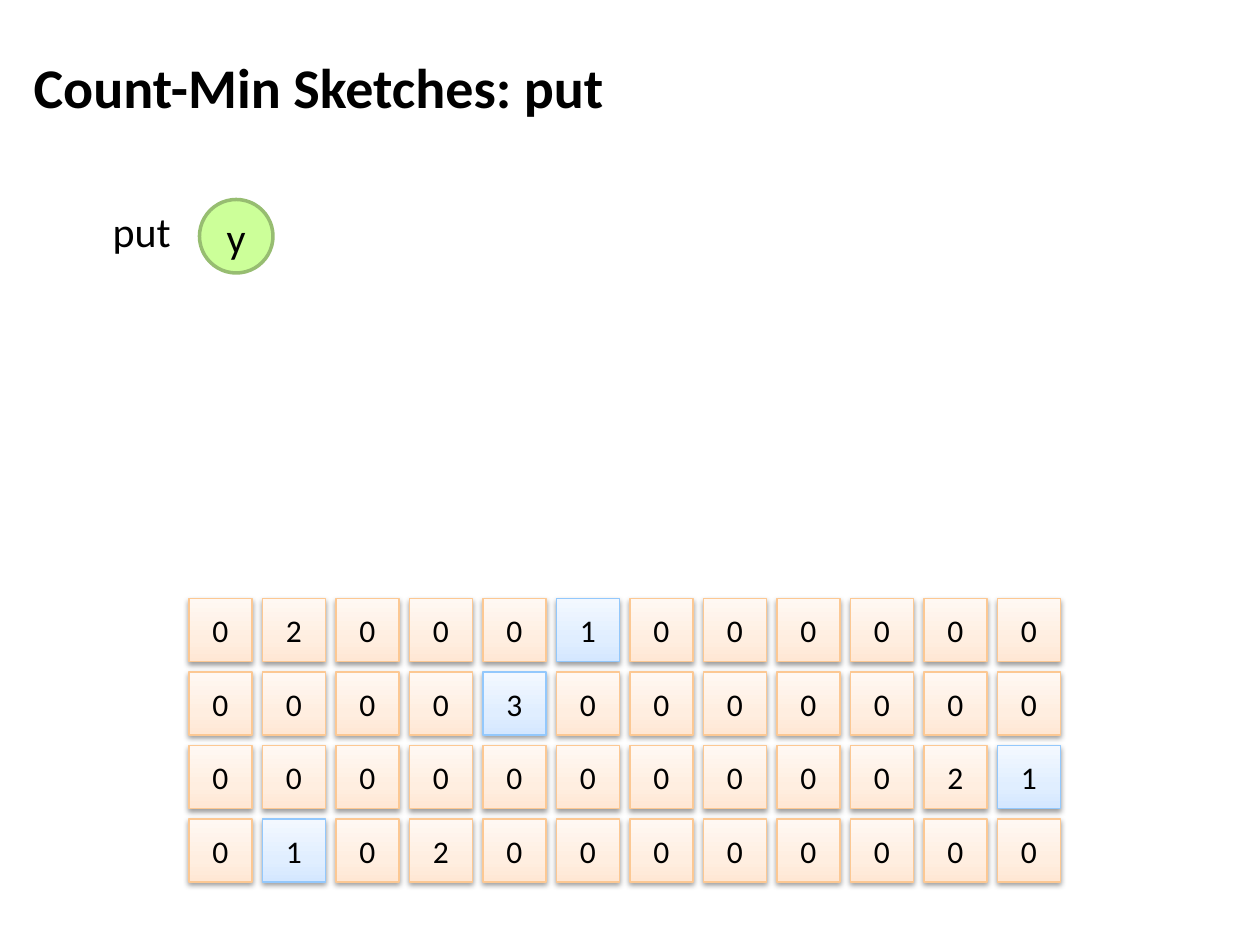
from lxml.etree import SubElement
from pptx import Presentation
from pptx.dml.color import RGBColor
from pptx.enum.shapes import MSO_SHAPE
from pptx.enum.text import MSO_ANCHOR, MSO_AUTO_SIZE, PP_ALIGN
from pptx.oxml.ns import qn
from pptx.util import Pt

COLORS = {"text": "000000", "item": "CCFF99", "item_line": "97BD71"}
# Gradient stops run from the bottom of a cell to its top
CELL_STYLES = {
    "plain": {"stops": ((0, "FFE7D4"), (35, "FFEEE0"), (100, "FFF8F3")), "line": "FCC893"},
    "hit": {"stops": ((0, "D4E7FF"), (35, "E0EEFF"), (100, "F3F8FF")), "line": "93C8FC"},
}
COUNTERS = [
    [0, 2, 0, 0, 0, 1, 0, 0, 0, 0, 0, 0],
    [0, 0, 0, 0, 3, 0, 0, 0, 0, 0, 0, 0],
    [0, 0, 0, 0, 0, 0, 0, 0, 0, 0, 2, 1],
    [0, 1, 0, 2, 0, 0, 0, 0, 0, 0, 0, 0],
]
HIT_COLUMNS = [5, 4, 11, 1]
GRID_LEFT, GRID_TOP, CELL, PITCH = 108, 342, 36, 42


class SlideBuilder:
    font_name = "Calibri"

    def __init__(self, slide):
        self.s = slide

    def set_text(self, shape, text, size, align, anchor=MSO_ANCHOR.MIDDLE, bold=False):
        tf = shape.text_frame
        tf.word_wrap = True
        tf.vertical_anchor = anchor
        p = tf.paragraphs[0]
        p.alignment = align
        r = p.add_run()
        r.text = text
        for name, value in {"name": self.font_name, "size": Pt(size), "bold": bold}.items():
            setattr(r.font, name, value)
        r.font.color.rgb = RGBColor.from_string(COLORS["text"])

    def outline(self, shape, color, width):
        shape.line.color.rgb = RGBColor.from_string(color)
        shape.line.width = Pt(width)
        shape.shadow.inherit = False

    def title(self, text, left, top, width, height):
        sp = self.s.shapes.title
        box = {"left": left, "top": top, "width": width, "height": height}
        for name, value in box.items():
            setattr(sp, name, Pt(value))
        self.set_text(sp, text, 32, PP_ALIGN.LEFT, bold=True)

    def cell(self, group, text, left, top, style):
        sp = group.shapes.add_shape(MSO_SHAPE.RECTANGLE, Pt(left), Pt(top), Pt(CELL), Pt(CELL))
        sp.fill.gradient()
        sp.fill.gradient_angle = 90
        stops = sp._element.spPr.find(".//" + qn("a:gsLst"))
        for stop in list(stops):
            stops.remove(stop)
        for position, color in style["stops"]:
            gs = SubElement(stops, qn("a:gs"), pos=str(position * 1000))
            SubElement(gs, qn("a:srgbClr"), val=color)
        self.outline(sp, style["line"], 0.75)
        self.drop_shadow(sp)
        self.set_text(sp, text, 18, PP_ALIGN.CENTER)

    def drop_shadow(self, sp):
        effects = sp._element.spPr.find(qn("a:effectLst"))
        shadow = SubElement(effects, qn("a:outerShdw"), blurRad="40000", dist="20000",
                            dir="5400000", rotWithShape="0")
        color = SubElement(shadow, qn("a:srgbClr"), val="000000")
        SubElement(color, qn("a:alpha"), val="38000")

    def counter_grid(self, rows, hits):
        group = self.s.shapes.add_group_shape()
        for i, (row, hit) in enumerate(zip(rows, hits)):
            for j, count in enumerate(row):
                style = CELL_STYLES["hit" if j == hit else "plain"]
                self.cell(group, str(count), GRID_LEFT + j * PITCH, GRID_TOP + i * PITCH, style)

    def item(self, text, left, top, size):
        sp = self.s.shapes.add_shape(MSO_SHAPE.OVAL, Pt(left), Pt(top), Pt(size), Pt(size))
        sp.fill.solid()
        sp.fill.fore_color.rgb = RGBColor.from_string(COLORS["item"])
        self.outline(sp, COLORS["item_line"], 2)
        self.set_text(sp, text, 24, PP_ALIGN.CENTER)

    def label(self, text, left, top, width, height):
        sp = self.s.shapes.add_textbox(Pt(left), Pt(top), Pt(width), Pt(height))
        self.set_text(sp, text, 24, PP_ALIGN.CENTER, anchor=MSO_ANCHOR.TOP)
        sp.text_frame.auto_size = MSO_AUTO_SIZE.SHAPE_TO_FIT_TEXT


def main():
    prs = Presentation()
    prs.slide_width, prs.slide_height = Pt(720), Pt(540)
    builder = SlideBuilder(prs.slides.add_slide(prs.slide_layouts[5]))

    # Title
    builder.title("Count-Min Sketches: put", 12, 8.5, 684, 81)

    # Counter table: one row per hash function
    builder.counter_grid(COUNTERS, HIT_COLUMNS)

    # Operation and its item
    builder.item("y", 114, 114, 42)
    builder.label("put", 48, 114, 66, 36)

    prs.save("out.pptx")


if __name__ == "__main__":
    main()
